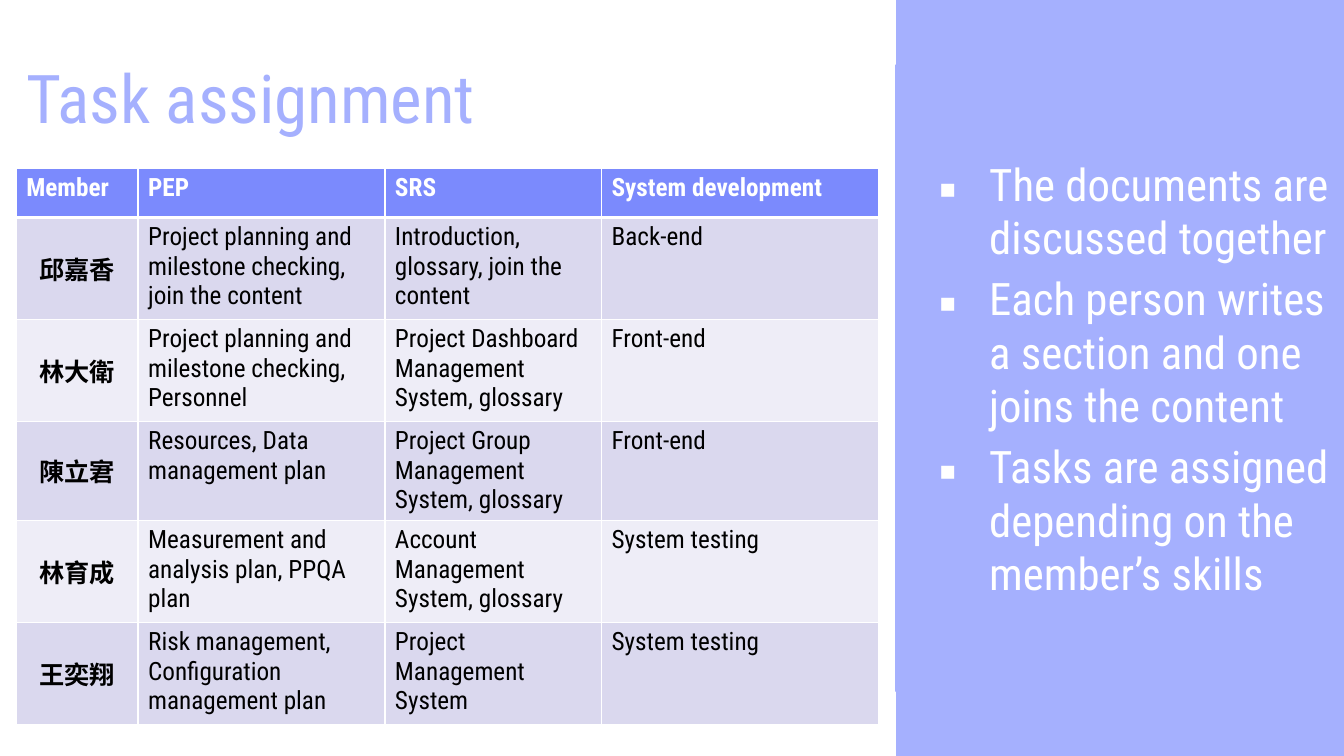
"""Build the task assignment slide with a member table and a notes panel."""
from lxml import etree
from pptx import Presentation
from pptx.dml.color import RGBColor
from pptx.enum.shapes import MSO_SHAPE
from pptx.enum.text import MSO_ANCHOR, MSO_AUTO_SIZE, PP_ALIGN
from pptx.oxml.ns import qn
from pptx.util import Cm, Pt

RECT = MSO_SHAPE.RECTANGLE
LEFT, CENTER = PP_ALIGN.LEFT, PP_ALIGN.CENTER
MIDDLE, BOTTOM = MSO_ANCHOR.MIDDLE, MSO_ANCHOR.BOTTOM
LATIN, CJK = "Roboto Condensed", "Noto Sans CJK TC"
COLORS = {
    "panel": "A5B0FE",
    "header": "7B8AFD",
    "odd": "DAD8EE",
    "even": "EEEDF7",
    "white": "FFFFFF",
    "black": "000000",
}
HEADER = ["Member", "PEP", "SRS", "System development"]
TASKS = [
    ["邱嘉香", "Project planning and milestone checking, join the content",
     "Introduction, glossary, join the content", "Back-end"],
    ["林大衛", "Project planning and milestone checking, Personnel",
     "Project Dashboard Management System, glossary", "Front-end"],
    ["陳立宭", "Resources, Data management plan",
     "Project Group Management System, glossary", "Front-end"],
    ["林育成", "Measurement and analysis plan, PPQA plan",
     "Account Management System, glossary", "System testing"],
    ["王奕翔", "Risk management, Configuration management plan",
     "Project Management System", "System testing"],
]
NOTES = [
    "The documents are discussed together",
    "Each person writes a section and one joins the content",
    "Tasks are assigned depending on the member’s skills",
]
COL_WIDTHS = [3.07, 6.22, 5.46, 6.99]
ROW_HEIGHTS = [1.24, 2.57, 2.57, 2.47, 2.57, 2.57]


def style_text(p, size, color, font=LATIN, bold=False, align=LEFT):
    p.alignment = align
    for r in p.runs:
        r.font.size = Pt(size)
        r.font.name = font
        r.font.bold = bold
        r.font.color.rgb = RGBColor.from_string(COLORS[color])
        ea = etree.SubElement(r.font._element, qn("a:ea"))
        ea.set("typeface", font)


def add_block(x, y, w, h, color):
    sp = slide.shapes.add_shape(RECT, Cm(x), Cm(y), Cm(w), Cm(h))
    sp.shadow.inherit = False
    sp.fill.solid()
    sp.fill.fore_color.rgb = RGBColor.from_string(COLORS[color])
    sp.line.fill.background()
    return sp


prs = Presentation()
prs.slide_width, prs.slide_height = Cm(33.87), Cm(19.05)
slide = prs.slides.add_slide(prs.slide_layouts[5])
slide.background.fill.solid()
slide.background.fill.fore_color.rgb = RGBColor.from_string(COLORS["panel"])

page = add_block(0, 0, 22.58, 19.05, "white")
slide.shapes._spTree.insert(2, page._element)

title = slide.shapes.title
title.left, title.top, title.width, title.height = Cm(0.41), Cm(0.53), Cm(19.02), Cm(3.18)
title.text_frame.text = "Task assignment"
title.text_frame.vertical_anchor = BOTTOM
style_text(title.text_frame.paragraphs[0], 48, "panel")

panel = add_block(22.56, 1.63, 11.3, 15.8, "panel")
panel.text_frame.text = "\n".join(NOTES)
panel.text_frame.vertical_anchor = MIDDLE
for tf in (title.text_frame, panel.text_frame):
    tf.word_wrap = True
    tf.auto_size = MSO_AUTO_SIZE.NONE
    tf.margin_left = tf.margin_right = tf.margin_top = tf.margin_bottom = Cm(0.25)
for p in panel.text_frame.paragraphs:
    style_text(p, 32, "white")
    p.space_before = Pt(4.8)
    pPr = p._p.get_or_add_pPr()
    pPr.set("marL", str(Cm(2.12)))
    pPr.set("indent", str(Cm(-1.27)))
    bullet_color = etree.SubElement(pPr, qn("a:buClr"))
    etree.SubElement(bullet_color, qn("a:srgbClr")).set("val", COLORS["white"])
    etree.SubElement(pPr, qn("a:buFont")).set("typeface", "Noto Sans Symbols")
    etree.SubElement(pPr, qn("a:buChar")).set("char", "▪")

rows = [HEADER] + TASKS
table = slide.shapes.add_table(
    len(rows), len(HEADER), Cm(0.41), Cm(4.24),
    Cm(sum(COL_WIDTHS)), Cm(sum(ROW_HEIGHTS))).table
for col, width in zip(table.columns, COL_WIDTHS):
    col.width = Cm(width)
for row, height in zip(table.rows, ROW_HEIGHTS):
    row.height = Cm(height)

for i, texts in enumerate(rows):
    fill = "header" if i == 0 else "odd" if i % 2 else "even"
    for j, text in enumerate(texts):
        cell = table.cell(i, j)
        cell.text = text
        p = cell.text_frame.paragraphs[0]
        if i == 0:
            style_text(p, 18, "white", bold=True)
        elif j == 0:
            style_text(p, 18, "black", CJK, True, CENTER)
            cell.vertical_anchor = MIDDLE
            cell.margin_left = cell.margin_right = Cm(0.18)
            cell.margin_top = cell.margin_bottom = 0
        else:
            style_text(p, 18, "black")
        tcPr = cell._tc.get_or_add_tcPr()
        for side in ("lnL", "lnR", "lnT", "lnB"):
            thick = (i, side) in ((0, "lnB"), (1, "lnT"))
            ln = etree.SubElement(tcPr, qn("a:" + side))
            ln.set("w", str(Pt(3 if thick else 1)))
            solid = etree.SubElement(ln, qn("a:solidFill"))
            etree.SubElement(solid, qn("a:srgbClr")).set("val", COLORS["white"])
        cell.fill.solid()
        cell.fill.fore_color.rgb = RGBColor.from_string(COLORS[fill])

prs.save("out.pptx")
